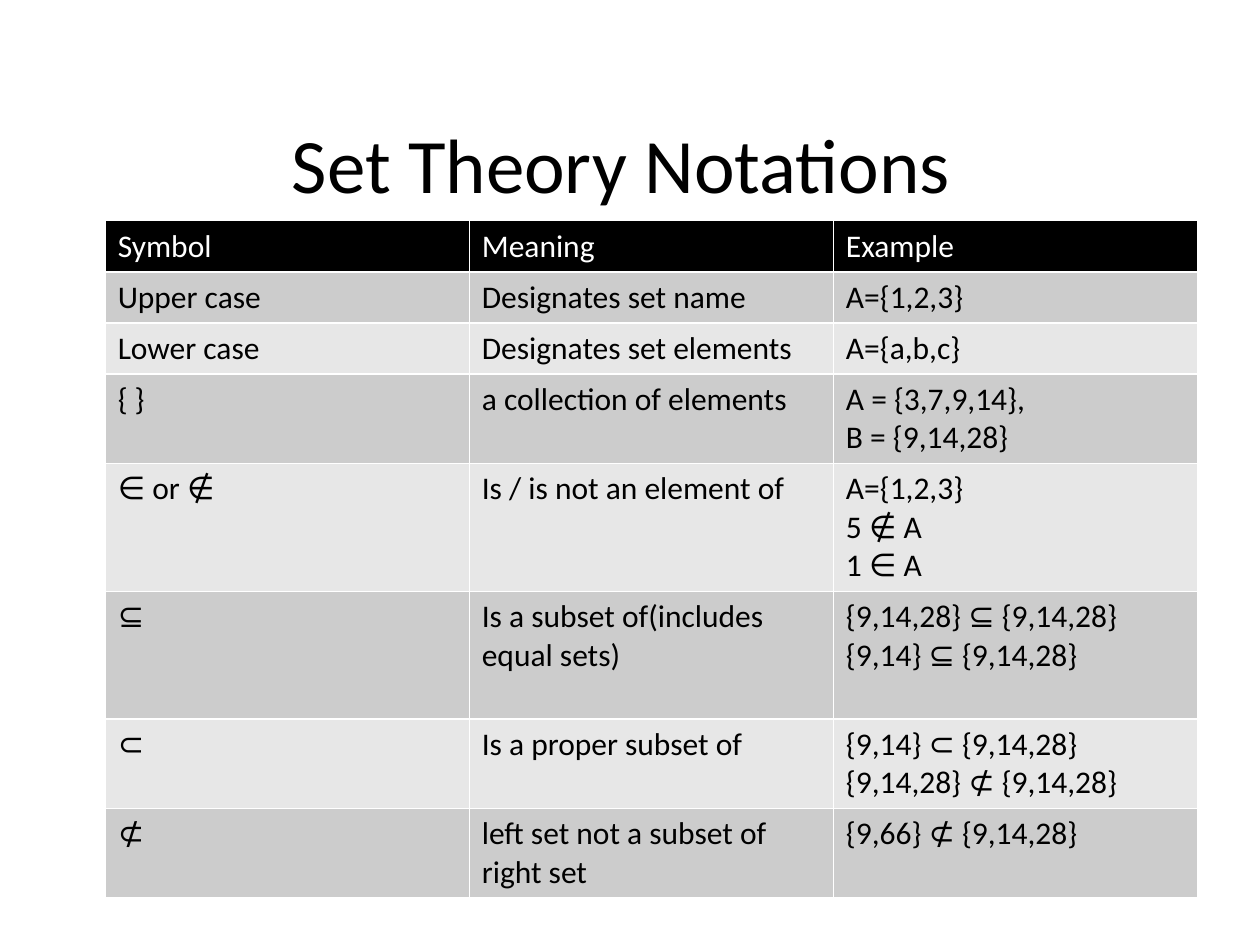
import pptx
import pptx.dml.color
import pptx.enum.text
import pptx.util

Cm = pptx.util.Cm
Pt = pptx.util.Pt
RGBColor = pptx.dml.color.RGBColor

BLACK = RGBColor(0x00, 0x00, 0x00)
WHITE = RGBColor(0xFF, 0xFF, 0xFF)
BANDS = RGBColor(0xE7, 0xE7, 0xE7), RGBColor(0xCC, 0xCC, 0xCC)

TITLE = "Set Theory Notations "
HEADER = ("Symbol", "Meaning", "Example")
NOTATIONS = [
    ("Upper case", "Designates set name", "A={1,2,3}"),
    ("Lower case", "Designates set elements", "A={a,b,c}"),
    ("{ }", "a collection of elements", "A = {3,7,9,14},\nB = {9,14,28}"),
    ("∈ or ∉", "Is / is not an element of", "A={1,2,3}\n5 ∉ A\n1 ∈ A"),
    ("⊆", "Is a subset of(includes equal sets)",
     "{9,14,28} ⊆ {9,14,28}\n{9,14} ⊆ {9,14,28}"),
    ("⊂", "Is a proper subset of",
     "{9,14} ⊂ {9,14,28}\n{9,14,28} ⊄ {9,14,28}"),
    ("⊄", "left set not a subset of right set", "{9,66} ⊄ {9,14,28}"),
]
ROW_LINES = (1, 1, 1, 2, 3, 3, 2, 2)
LINE_HEIGHT, CELL_PADDING = 0.77, 0.26
COLUMN_WIDTH = 7.34


def write(tf, text, size, color):
    tf.text = text
    font_format = {"name": "Calibri", "size": Pt(size), "bold": False}
    for p in tf.paragraphs:
        for r in p.runs:
            for name, value in font_format.items():
                setattr(r.font, name, value)
            r.font.color.rgb = color


def add_title(s):
    sp = s.shapes.title
    place = {"left": Cm(1.27), "top": Cm(1.7), "width": Cm(22.86), "height": Cm(3.17)}
    for name, value in place.items():
        setattr(sp, name, value)
    tf = sp.text_frame
    write(tf, TITLE, 44, BLACK)
    tf.vertical_anchor = pptx.enum.text.MSO_ANCHOR.MIDDLE
    tf.paragraphs[0].alignment = pptx.enum.text.PP_ALIGN.CENTER


def add_notation_table(s):
    rows = [HEADER] + NOTATIONS
    heights = [CELL_PADDING + LINE_HEIGHT * lines for lines in ROW_LINES]
    table = s.shapes.add_table(
        len(rows), len(HEADER), Cm(2.12), Cm(4.45),
        Cm(COLUMN_WIDTH * len(HEADER)), Cm(sum(heights))).table
    for column in table.columns:
        column.width = Cm(COLUMN_WIDTH)
    for i, (texts, height) in enumerate(zip(rows, heights)):
        table.rows[i].height = Cm(height)
        fill, color = (BANDS[i % 2], BLACK) if i else (BLACK, WHITE)
        for j, text in enumerate(texts):
            cell = table.cell(i, j)
            cell.fill.solid()
            cell.fill.fore_color.rgb = fill
            write(cell.text_frame, text, 18, color)


def main():
    prs = pptx.Presentation()
    prs.slide_width, prs.slide_height = Cm(25.4), Cm(19.05)
    s = prs.slides.add_slide(prs.slide_layouts[5])
    add_title(s)
    add_notation_table(s)
    prs.save("out.pptx")


if __name__ == "__main__":
    main()
